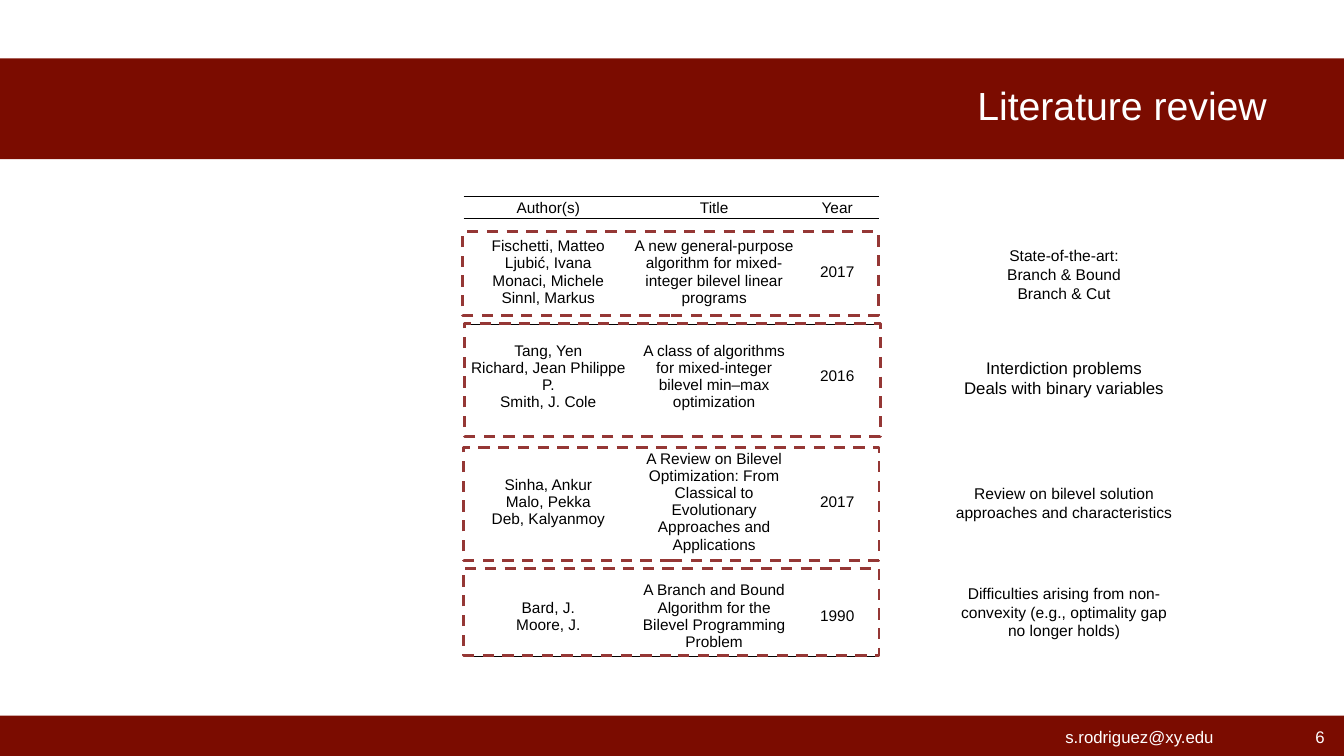
from lxml import etree
from pptx import Presentation
from pptx.dml.color import RGBColor
from pptx.enum.dml import MSO_LINE
from pptx.enum.shapes import MSO_SHAPE
from pptx.enum.text import MSO_ANCHOR, PP_ALIGN
from pptx.oxml.ns import qn
from pptx.util import Inches, Pt

RECTANGLE = MSO_SHAPE.RECTANGLE
DASH = MSO_LINE.DASH
MIDDLE = MSO_ANCHOR.MIDDLE
CENTER, RIGHT = PP_ALIGN.CENTER, PP_ALIGN.RIGHT

COLORS = {"crimson": "7B0C00", "frame": "953735", "white": "FFFFFF", "black": "000000"}
FONT = "Arial"
WIDTH, HEIGHT = 13.33, 7.5
NO_TABLE_STYLE = "{2D5ABB26-0587-4C30-8999-92F81FD0307C}"

# Places are percentages of the slide: left, top, width, height
BANDS = [(0, 7.73, 100, 13.33), (0, 94.67, 100, 5.33)]
TITLE_PLACE = (5, 10, 90, 7.73)
EMAIL_PLACE = (76.2, 94.8, 17.18, 5.33)
NUMBER_PLACE = (95.03, 95.07, 4.28, 4.8)
TABLE_LEFT, TABLE_TOP = 34.5, 26
COLUMN_WIDTHS = [12.6, 12.08, 6.23]
ROW_HEIGHTS = [2.93, 14, 13.6, 19.6, 10.67]
NOTE_LEFT, NOTE_WIDTH, NOTE_HEIGHT = 70.13, 18.08, 7.73

# A vertical tab is a line break inside a paragraph
PAPERS = [
    ("Author(s)", "Title", "Year"),
    ("Fischetti, Matteo\vLjubić, Ivana\vMonaci, Michele\vSinnl, Markus",
     "A new general-purpose algorithm for mixed-integer bilevel linear programs", "2017"),
    ("Tang, Yen\vRichard, Jean Philippe P.\vSmith, J. Cole",
     "A class of algorithms for mixed-integer bilevel min–max optimization", "2016"),
    ("Sinha, Ankur\vMalo, Pekka\vDeb, Kalyanmoy",
     "A Review on Bilevel Optimization: From Classical to Evolutionary "
     "Approaches and Applications", "2017"),
    ("Bard, J.\vMoore, J.",
     "A Branch and Bound Algorithm for the Bilevel Programming Problem", "1990"),
]
# Row number: border tags with their widths in points
RULES = {0: {"a:lnT": 0.5, "a:lnB": 1}, 1: {"a:lnT": 1}, 4: {"a:lnB": 1}}
# Left, top and height of each dashed frame
FRAMES = [(34.43, 30.67, 11.07), (34.58, 42.8, 14.93), (34.5, 59.2, 14.93), (34.5, 75.2, 11.47)]
# Top, text size and text of each remark
NOTES = [
    (32.4, 11.1, "State-of-the-art:\nBranch & Bound\nBranch & Cut"),
    (46.13, 12, "Interdiction problems\nDeals with binary variables"),
    (62.67, 11.1, "Review on bilevel solution approaches and characteristics"),
    (77.07, 11.1, "Difficulties arising from non-convexity (e.g., optimality gap no longer holds)"),
]


def color(name):
    return RGBColor.from_string(COLORS[name])


def across(percent):
    return Inches(WIDTH * percent / 100)


def down(percent):
    return Inches(HEIGHT * percent / 100)


def area(left, top, width, height):
    return across(left), down(top), across(width), down(height)


def write(frame, text, size, ink, align=CENTER):
    frame.text = text
    frame.word_wrap = True
    frame.vertical_anchor = MIDDLE
    for para in frame.paragraphs:
        para.alignment = align
        para.font.name = FONT
        para.font.size = Pt(size)
        para.font.color.rgb = color(ink)


def add_text(page, place, text, size, ink, align=CENTER):
    box = page.shapes.add_textbox(*area(*place))
    write(box.text_frame, text, size, ink, align)


def add_band(page, place):
    band = page.shapes.add_shape(RECTANGLE, *area(*place))
    band.shadow.inherit = False
    band.fill.solid()
    band.fill.fore_color.rgb = color("crimson")
    band.line.fill.background()
    # Bands lie behind the title placeholder
    page.shapes.element.insert(2, band.element)


def add_title(page, text):
    title = page.shapes.title
    title.left, title.top, title.width, title.height = area(*TITLE_PLACE)
    write(title.text_frame, text, 28, "white", RIGHT)


def add_frame(page, left, top, height):
    frame = page.shapes.add_shape(RECTANGLE, *area(left, top, sum(COLUMN_WIDTHS), height))
    frame.shadow.inherit = False
    frame.fill.background()
    frame.line.color.rgb = color("frame")
    frame.line.width = Pt(2)
    frame.line.dash_style = DASH


def set_borders(cell, widths):
    properties = cell._tc.get_or_add_tcPr()
    for position, (tag, points) in enumerate(widths.items()):
        line = etree.Element(qn(tag), w=str(Pt(points)))
        fill = etree.SubElement(line, qn("a:solidFill"))
        etree.SubElement(fill, qn("a:srgbClr"), val=COLORS["black"])
        properties.insert(position, line)


def add_paper_table(page):
    place = area(TABLE_LEFT, TABLE_TOP, sum(COLUMN_WIDTHS), sum(ROW_HEIGHTS))
    table = page.shapes.add_table(len(PAPERS), len(COLUMN_WIDTHS), *place).table
    table.first_row = table.horz_banding = False
    table._tbl.tblPr.find(qn("a:tableStyleId")).text = NO_TABLE_STYLE
    for column, width in zip(table.columns, COLUMN_WIDTHS):
        column.width = across(width)
    for number, (row, height, texts) in enumerate(zip(table.rows, ROW_HEIGHTS, PAPERS)):
        row.height = down(height)
        for cell, text in zip(row.cells, texts):
            write(cell.text_frame, text, 11, "black")
            cell.vertical_anchor = MIDDLE
            cell.margin_left = cell.margin_right = cell.margin_top = Inches(0.01)
            cell.margin_bottom = 0
            cell.fill.solid()
            cell.fill.fore_color.rgb = color("white")
            set_borders(cell, RULES.get(number, {}))


def main():
    deck = Presentation()
    deck.slide_width, deck.slide_height = Inches(WIDTH), Inches(HEIGHT)
    page = deck.slides.add_slide(deck.slide_layouts.get_by_name("Title Only"))

    # Header and footer
    for place in BANDS:
        add_band(page, place)
    add_title(page, "Literature review")
    add_text(page, EMAIL_PLACE, "s.rodriguez@xy.edu", 12, "white")
    add_text(page, NUMBER_PLACE, "6", 12, "white", RIGHT)

    # Papers, their frames and the remarks beside them
    add_paper_table(page)
    for frame in FRAMES:
        add_frame(page, *frame)
    for top, size, text in NOTES:
        add_text(page, (NOTE_LEFT, top, NOTE_WIDTH, NOTE_HEIGHT), text, size, "black")

    deck.save("out.pptx")


if __name__ == "__main__":
    main()
